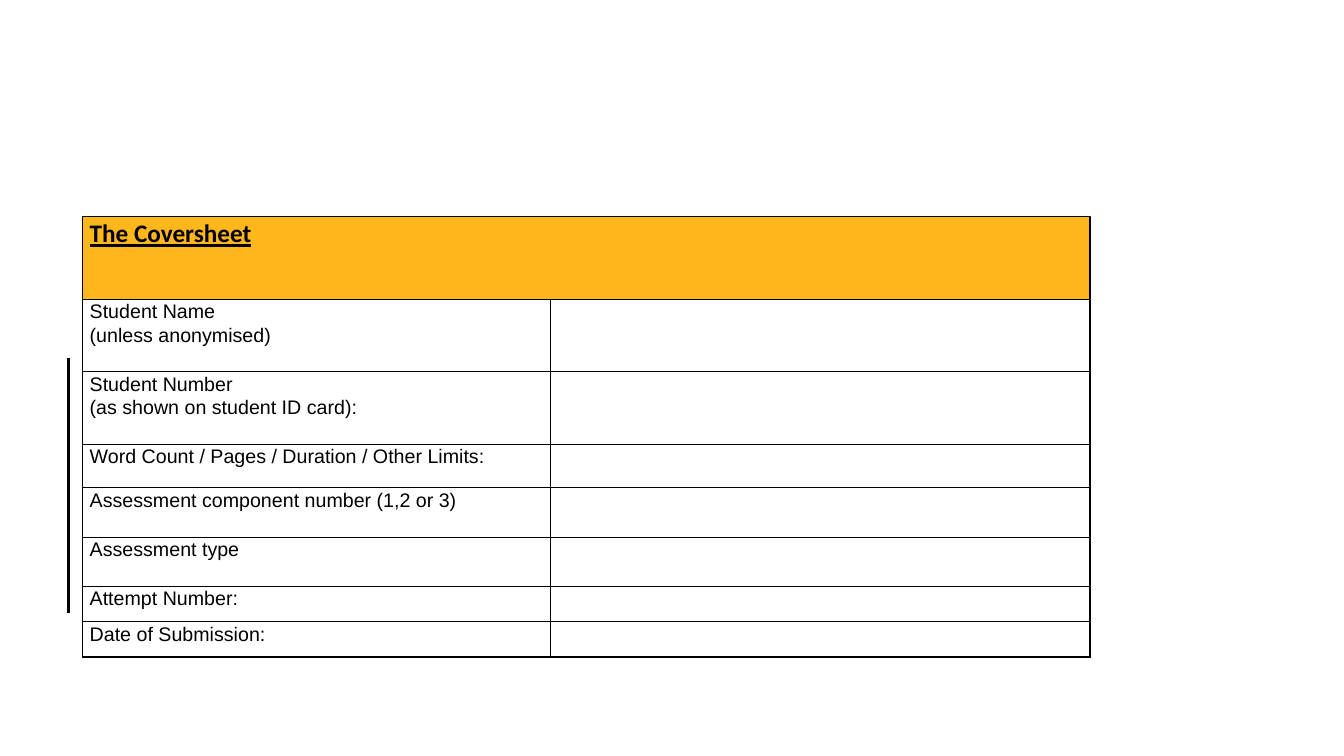
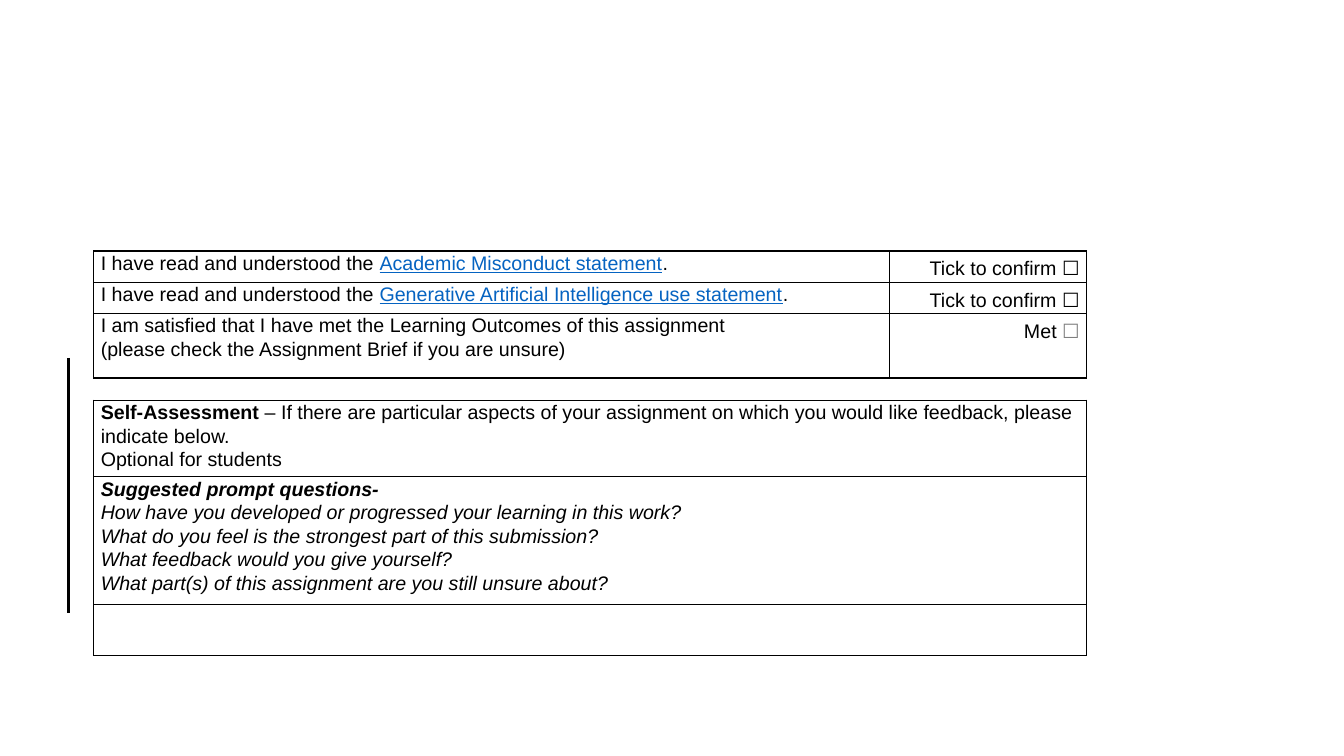
from dataclasses import dataclass

from lxml import etree
from pptx import Presentation
from pptx.dml.color import RGBColor
from pptx.enum.shapes import MSO_CONNECTOR
from pptx.enum.text import PP_ALIGN
from pptx.oxml.ns import qn
from pptx.util import Inches, Pt


@dataclass(frozen=True)
class Theme:
    ink: str = "000000"
    band: str = "FFB71B"
    link: str = "0563C1"
    muted: str = "7F7F7F"
    body_font: str = "Arial"
    title_font: str = "Calibri"
    symbol_font: str = "Noto Sans CJK JP"
    body_size: float = 14
    title_size: float = 18
    line_spacing: float = 1.07
    cell_margin: float = 0.07
    border: float = 1
    rule: float = 2.25


THEME = Theme()

COVER_LABELS = [
    ["Student Name", "(unless anonymised)"],
    ["Student Number", "(as shown on student ID card):"],
    ["Word Count / Pages / Duration / Other Limits:"],
    ["Assessment component number (1,2 or 3)"],
    ["Assessment type"],
    ["Attempt Number:"],
    ["Date of Submission:"],
]
STATEMENTS = ["Academic Misconduct statement", "Generative Artificial Intelligence use statement"]
OUTCOMES = [
    "I am satisfied that I have met the Learning Outcomes of this assignment",
    "(please check the Assignment Brief if you are unsure)",
]
FEEDBACK_REQUEST = (
    " – If there are particular aspects of your assignment on which you would like feedback, "
    "please indicate below."
)
PROMPTS = [
    "How have you developed or progressed your learning in this work?",
    "What do you feel is the strongest part of this submission?",
    "What feedback would you give yourself?",
    "What part(s) of this assignment are you still unsure about?",
]


def style_font(font, name=None, size=None, color=None, bold=None, italic=None, underline=None):
    """Set only the font properties that are given."""
    if name:
        font.name = name
    if size:
        font.size = Pt(size)
    if color:
        font.color.rgb = RGBColor.from_string(color)
    if bold is not None:
        font.bold = bold
    if italic is not None:
        font.italic = italic
    if underline is not None:
        font.underline = underline


def write_paragraph(cell, runs, first=False, align=PP_ALIGN.LEFT, **style):
    """Add a paragraph; runs is a text or a list of (text, differing style) pairs."""
    frame = cell.text_frame
    paragraph = frame.paragraphs[0] if first else frame.add_paragraph()
    paragraph.alignment = align
    paragraph.line_spacing = THEME.line_spacing
    base = dict(name=THEME.body_font, size=THEME.body_size, color=THEME.ink)
    style_font(paragraph.font, **{**base, **style})
    for text, difference in [(runs, {})] if isinstance(runs, str) else runs:
        run = paragraph.add_run()
        run.text = text
        style_font(run.font, **difference)


def write_lines(cell, lines, **style):
    for index, line in enumerate(lines):
        write_paragraph(cell, line, first=index == 0, **style)


def add_borders(cell):
    properties = cell._tc.get_or_add_tcPr()
    for index, side in enumerate(("lnL", "lnR", "lnT", "lnB")):
        line = etree.Element(qn(f"a:{side}"), w=str(Pt(THEME.border)))
        fill = etree.SubElement(line, qn("a:solidFill"))
        etree.SubElement(fill, qn("a:srgbClr"), val=THEME.ink)
        properties.insert(index, line)


def add_grid(slide, left, top, columns, rows):
    """Add an unfilled, bordered table with the given column widths and row heights."""
    frame = slide.shapes.add_table(
        len(rows), len(columns), Inches(left), Inches(top),
        Inches(sum(columns)), Inches(sum(rows)))
    table = frame.table
    table.first_row = table.horz_banding = False
    for column, width in zip(table.columns, columns):
        column.width = Inches(width)
    for row, height in zip(table.rows, rows):
        row.height = Inches(height)
    for cell in table.iter_cells():
        cell.margin_left = cell.margin_right = Inches(THEME.cell_margin)
        cell.margin_top = cell.margin_bottom = 0
        cell.fill.background()
        add_borders(cell)
    return table


def add_side_rule(slide, left, top, height):
    rule = slide.shapes.add_connector(
        MSO_CONNECTOR.STRAIGHT, Inches(left), Inches(top), Inches(left), Inches(top + height))
    rule.line.color.rgb = RGBColor.from_string(THEME.ink)
    rule.line.width = Pt(THEME.rule)
    etree.SubElement(rule._element.spPr, qn("a:effectLst"))


def add_form_slide(presentation):
    slide = presentation.slides.add_slide(presentation.slide_layouts[6])
    add_side_rule(slide, 0.68, 3.55, 2.53)
    return slide


def add_coversheet(slide, left, top):
    table = add_grid(slide, left, top, [4.64, 5.35],
                     [0.82, 0.72, 0.72, 0.43, 0.49, 0.49, 0.35, 0.35])
    heading = table.cell(0, 0)
    heading.merge(table.cell(0, 1))
    heading.fill.solid()
    heading.fill.fore_color.rgb = RGBColor.from_string(THEME.band)
    write_paragraph(heading, "The Coversheet", first=True, name=THEME.title_font,
                    size=THEME.title_size, bold=True, underline=True)
    for row, lines in enumerate(COVER_LABELS, start=1):
        write_lines(table.cell(row, 0), lines)


def add_declarations(slide, left, top):
    table = add_grid(slide, left, top, [7.89, 1.96], [0.31, 0.31, 0.64])
    link = dict(color=THEME.link, underline=True)
    box = dict(name=THEME.symbol_font)
    for row, statement in enumerate(STATEMENTS):
        write_lines(table.cell(row, 0), [
            [("I have read and understood the ", {}), (statement, link), (".", {})]])
        write_lines(table.cell(row, 1), [[("Tick to confirm ", {}), ("☐", box)]],
                    align=PP_ALIGN.RIGHT)
    write_lines(table.cell(2, 0), OUTCOMES)
    write_lines(table.cell(2, 1), [[("Met ", {}), ("☐", {**box, "color": THEME.muted})]],
                align=PP_ALIGN.RIGHT)


def add_self_assessment(slide, left, top):
    table = add_grid(slide, left, top, [9.85], [0.76, 1.27, 0.5])
    bold = dict(bold=True)
    write_lines(table.cell(0, 0), [
        [("Self-Assessment", bold), (FEEDBACK_REQUEST, {})], "Optional for students"])
    write_lines(table.cell(1, 0), [[("Suggested prompt questions-", bold)], *PROMPTS],
                italic=True)


def main():
    presentation = Presentation()
    presentation.slide_width = Inches(13.33)
    presentation.slide_height = Inches(7.5)
    add_coversheet(add_form_slide(presentation), 0.82, 2.15)
    confirmation = add_form_slide(presentation)
    add_declarations(confirmation, 0.93, 2.49)
    add_self_assessment(confirmation, 0.93, 3.97)
    presentation.save("out.pptx")


if __name__ == "__main__":
    main()
